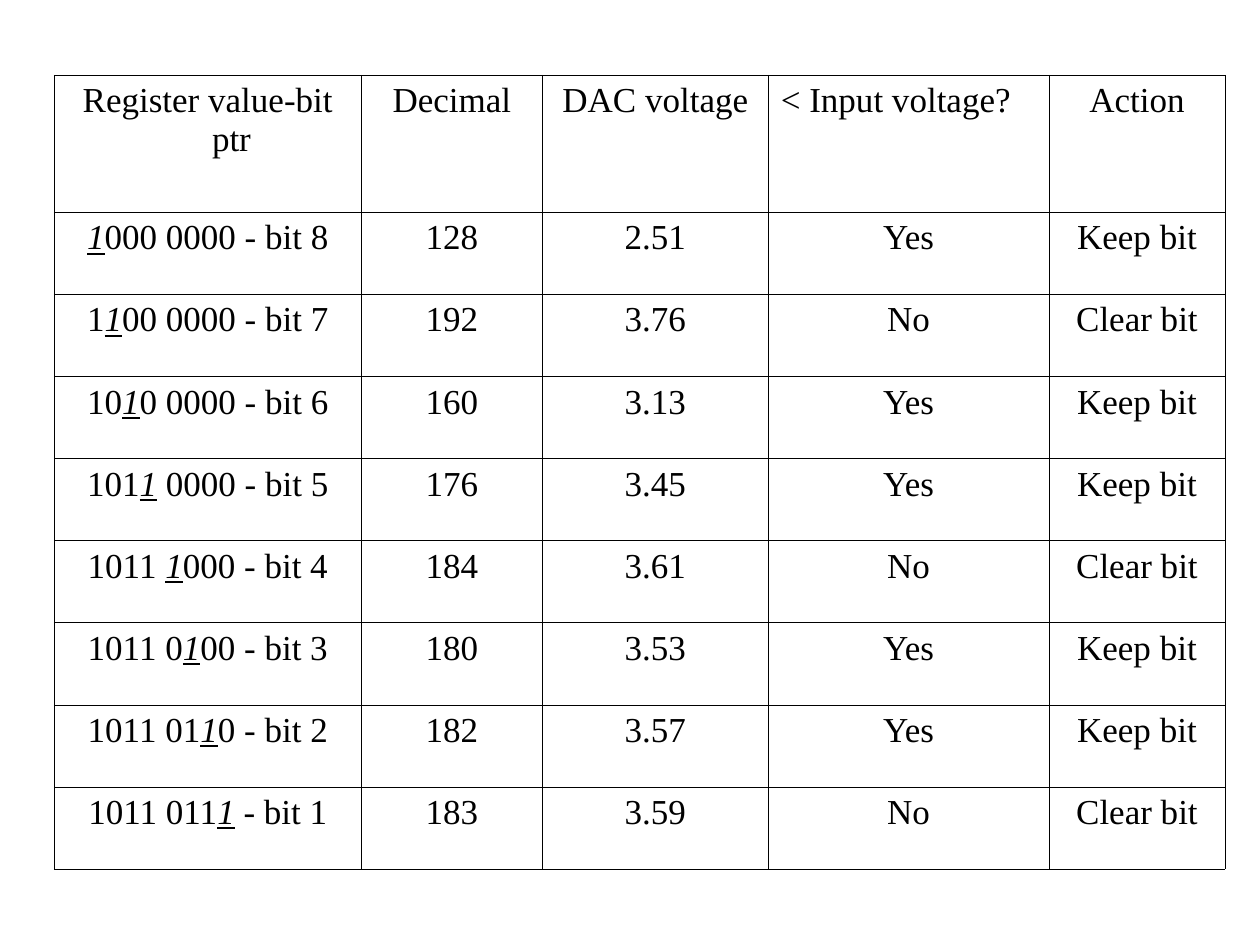
import pptx
import pptx.util
import pptx.table
import pptx.slide
import pptx.dml.color
import pptx.enum.text
import pptx.oxml
import pptx.oxml.ns
from dataclasses import dataclass

Pt = pptx.util.Pt
Align = pptx.enum.text.PP_ALIGN


@dataclass(frozen=True)
class Theme:
    font: str = "Times New Roman"
    size: float = 20
    ink: str = "000000"
    line: float = 0.45
    hang: float = 27


@dataclass(frozen=True)
class Step:
    bits: str
    bit: int
    value: int
    volts: str
    below: bool

    def label(self) -> tuple[str, str, str]:
        mark = 8 - self.bit + (self.bit <= 4)
        tail = f"{self.bits[mark + 1:]} - bit {self.bit}"
        return self.bits[:mark], self.bits[mark], tail

    def facts(self) -> list[str]:
        answer, action = ("Yes", "Keep bit") if self.below else ("No", "Clear bit")
        return [str(self.value), self.volts, answer, action]


THEME = Theme()
LEFT, TOP = 31, 43
COLS = [175.5, 103.5, 129, 160.5, 100.5]
HEAD, ROW = 78.3, 46.92
TITLES = ["Register value-bit ptr", "Decimal", "DAC voltage", "< Input voltage?", "Action"]
STEPS = [
    Step("1000 0000", 8, 128, "2.51", True),
    Step("1100 0000", 7, 192, "3.76", False),
    Step("1010 0000", 6, 160, "3.13", True),
    Step("1011 0000", 5, 176, "3.45", True),
    Step("1011 1000", 4, 184, "3.61", False),
    Step("1011 0100", 3, 180, "3.53", True),
    Step("1011 0110", 2, 182, "3.57", True),
    Step("1011 0111", 1, 183, "3.59", False),
]


def frame(cell: pptx.table._Cell) -> None:
    cell.fill.background()
    props = cell._tc.get_or_add_tcPr()
    for i, side in enumerate("LRTB"):
        line = pptx.oxml.parse_xml(
            f'<a:ln{side} {pptx.oxml.ns.nsdecls("a")} w="{Pt(THEME.line)}">'
            f'<a:solidFill><a:srgbClr val="{THEME.ink}"/></a:solidFill></a:ln{side}>'
        )
        props.insert(i, line)


def write(cell: pptx.table._Cell, texts: tuple[str, ...], align: Align) -> None:
    frame(cell)
    para = cell.text_frame.paragraphs[0]
    para.alignment = align
    para.font.name = THEME.font
    para.font.size = Pt(THEME.size)
    para.font.color.rgb = pptx.dml.color.RGBColor.from_string(THEME.ink)
    props = para._p.get_or_add_pPr()
    props.set("marL", str(Pt(THEME.hang)))
    props.set("indent", str(-Pt(THEME.hang)))
    for i, text in enumerate(texts):
        if text:
            run = para.add_run()
            run.text = text
            if i == 1:
                run.font.italic = True
                run.font.underline = True


def build(slide: pptx.slide.Slide) -> None:
    count = len(STEPS)
    shape = slide.shapes.add_table(
        count + 1, len(COLS), Pt(LEFT), Pt(TOP), Pt(sum(COLS)), Pt(HEAD + ROW * count)
    )
    table = shape.table
    table.first_row = False
    table.horz_banding = False
    for col, width in zip(table.columns, COLS):
        col.width = Pt(width)
    for i, row in enumerate(table.rows):
        row.height = Pt(ROW if i else HEAD)
    for i, title in enumerate(TITLES):
        write(table.cell(0, i), (title,), Align.LEFT if i == 3 else Align.CENTER)
    for i, step in enumerate(STEPS, 1):
        write(table.cell(i, 0), step.label(), Align.CENTER)
        for j, text in enumerate(step.facts(), 1):
            write(table.cell(i, j), (text,), Align.CENTER)


def main() -> None:
    deck = pptx.Presentation()
    deck.slide_width, deck.slide_height = Pt(720), Pt(540)
    build(deck.slides.add_slide(deck.slide_layouts[6]))
    deck.save("out.pptx")


if __name__ == "__main__":
    main()
